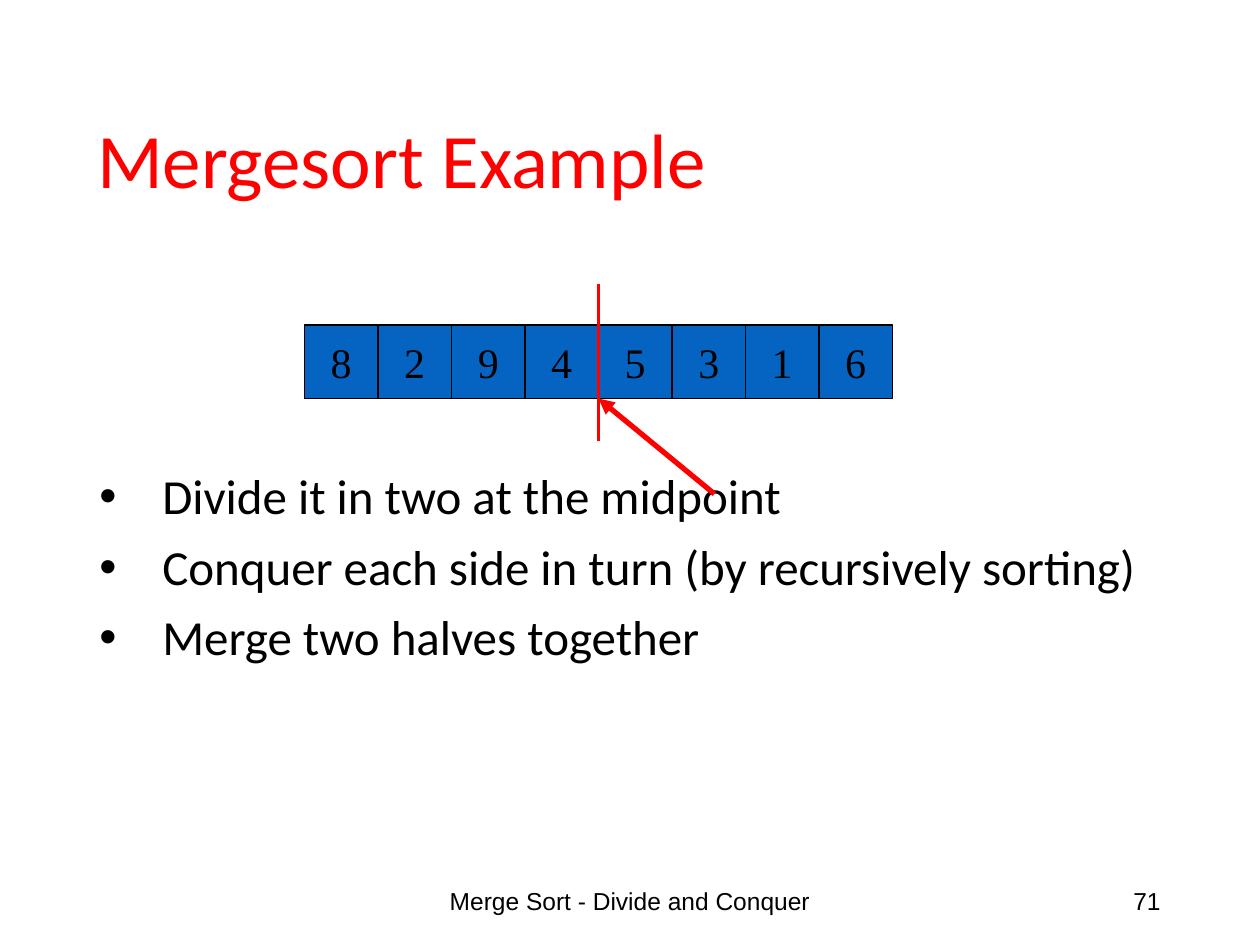
from dataclasses import dataclass

from lxml.etree import SubElement
from pptx import Presentation
from pptx.dml.color import RGBColor
from pptx.enum.shapes import MSO_CONNECTOR as Connector, MSO_SHAPE as Shape
from pptx.enum.text import MSO_ANCHOR as Anchor, PP_ALIGN as Align
from pptx.oxml.ns import qn
from pptx.util import Inches, Pt


@dataclass(frozen=True)
class Theme:
    """Colours, fonts and type sizes of the slide."""

    ink: RGBColor = RGBColor(0, 0, 0)
    accent: RGBColor = RGBColor(0xFF, 0, 0)
    cell: RGBColor = RGBColor(0x05, 0x63, 0xC1)
    text_font: str = "Calibri"
    footer_font: str = "Arial"
    cell_font: str = "Times New Roman"
    title_size: int = 44
    body_size: int = 28
    cell_size: int = 24
    footer_size: int = 14


class SlideBuilder:
    """Draws styled elements on one slide."""

    def __init__(self, page, theme):
        self.page = page
        self.theme = theme

    def style(self, para, font, size, color, align=Align.LEFT):
        """Format a paragraph and its runs."""
        para.alignment = align
        for span in para.runs:
            span.font.name = font
            span.font.size = Pt(size)
            span.font.color.rgb = color

    def title(self, text, left, top, width, height):
        """Fill and place the title placeholder."""
        box = self.page.shapes.title
        box.left, box.top = Inches(left), Inches(top)
        box.width, box.height = Inches(width), Inches(height)
        frame = box.text_frame
        frame.text = text
        frame.vertical_anchor = Anchor.MIDDLE
        para = frame.paragraphs[0]
        para.line_spacing = 0.9
        self.style(para, self.theme.text_font, self.theme.title_size, self.theme.accent)

    def text_box(self, text, left, top, width, height, anchor=Anchor.TOP):
        """Add a wrapping text box and return its frame."""
        box = self.page.shapes.add_textbox(
            Inches(left), Inches(top), Inches(width), Inches(height)
        )
        frame = box.text_frame
        frame.word_wrap = True
        frame.vertical_anchor = anchor
        frame.text = text
        return frame

    def footer(self, text, left, width, align):
        """Add one footer text."""
        frame = self.text_box(text, left, 6.95, width, 0.4, Anchor.MIDDLE)
        theme = self.theme
        self.style(frame.paragraphs[0], theme.footer_font, theme.footer_size, theme.ink, align)

    def bullets(self, items, left, top, width, height):
        """Add a bulleted list."""
        frame = self.text_box("\n".join(items), left, top, width, height)
        for index, para in enumerate(frame.paragraphs):
            properties = para._p.get_or_add_pPr()
            properties.set("marL", str(Inches(0.5)))
            properties.set("indent", str(Inches(-0.5)))
            SubElement(properties, qn("a:buFont"), typeface="Arial")
            SubElement(properties, qn("a:buChar"), char="•")
            para.line_spacing = 0.9
            para.space_before = Pt(10 if index else 0)
            self.style(para, self.theme.text_font, self.theme.body_size, self.theme.ink)

    def cells(self, values, left, top, size):
        """Add a row of touching square array cells."""
        theme = self.theme
        for index, value in enumerate(values):
            cell = self.page.shapes.add_shape(
                Shape.RECTANGLE, Inches(left + index * size), Inches(top), Inches(size), Inches(size)
            )
            cell.shadow.inherit = False
            cell.fill.solid()
            cell.fill.fore_color.rgb = theme.cell
            cell.line.color.rgb = theme.ink
            cell.line.width = Pt(0.75)
            frame = cell.text_frame
            frame.text = str(value)
            frame.word_wrap = False
            frame.vertical_anchor = Anchor.MIDDLE
            self.style(
                frame.paragraphs[0], theme.cell_font, theme.cell_size, theme.ink, Align.CENTER
            )

    def line(self, start, end, width, arrow=False):
        """Add an accent line, with an arrowhead at its end if wanted."""
        line = self.page.shapes.add_connector(
            Connector.STRAIGHT, *(Inches(value) for value in (*start, *end))
        )
        line.line.color.rgb = self.theme.accent
        line.line.width = Pt(width)
        if arrow:
            SubElement(line.line._get_or_add_ln(), qn("a:tailEnd"), type="triangle")
        SubElement(line._element.spPr, qn("a:effectLst"))


def main():
    """Build and save the slide."""
    deck = Presentation()
    deck.slide_width, deck.slide_height = Inches(10), Inches(7.5)
    builder = SlideBuilder(deck.slides.add_slide(deck.slide_layouts[5]), Theme())

    values = [8, 2, 9, 4, 5, 3, 1, 6]
    midpoint, row_top, cell_size = 4.75, 2.58, 7 / 12
    row_left = midpoint - len(values) / 2 * cell_size

    builder.footer("Merge Sort - Divide and Conquer", 3.31, 3.38, Align.CENTER)
    builder.footer("71", 7.06, 2.25, Align.RIGHT)
    builder.title("Mergesort Example", 0.67, 0.67, 8.5, 1.25)
    builder.bullets(
        [
            "Divide it in two at the midpoint",
            "Conquer each side in turn (by recursively sorting)",
            "Merge two halves together",
        ],
        0.69, 3.7, 8.62, 3.06,
    )
    builder.line((5.67, 3.92), (midpoint, row_top + cell_size), 3, arrow=True)
    builder.cells(values, row_left, row_top, cell_size)
    builder.line((midpoint, 2.25), (midpoint, 3.5), 2.25)

    deck.save("out.pptx")


if __name__ == "__main__":
    main()
